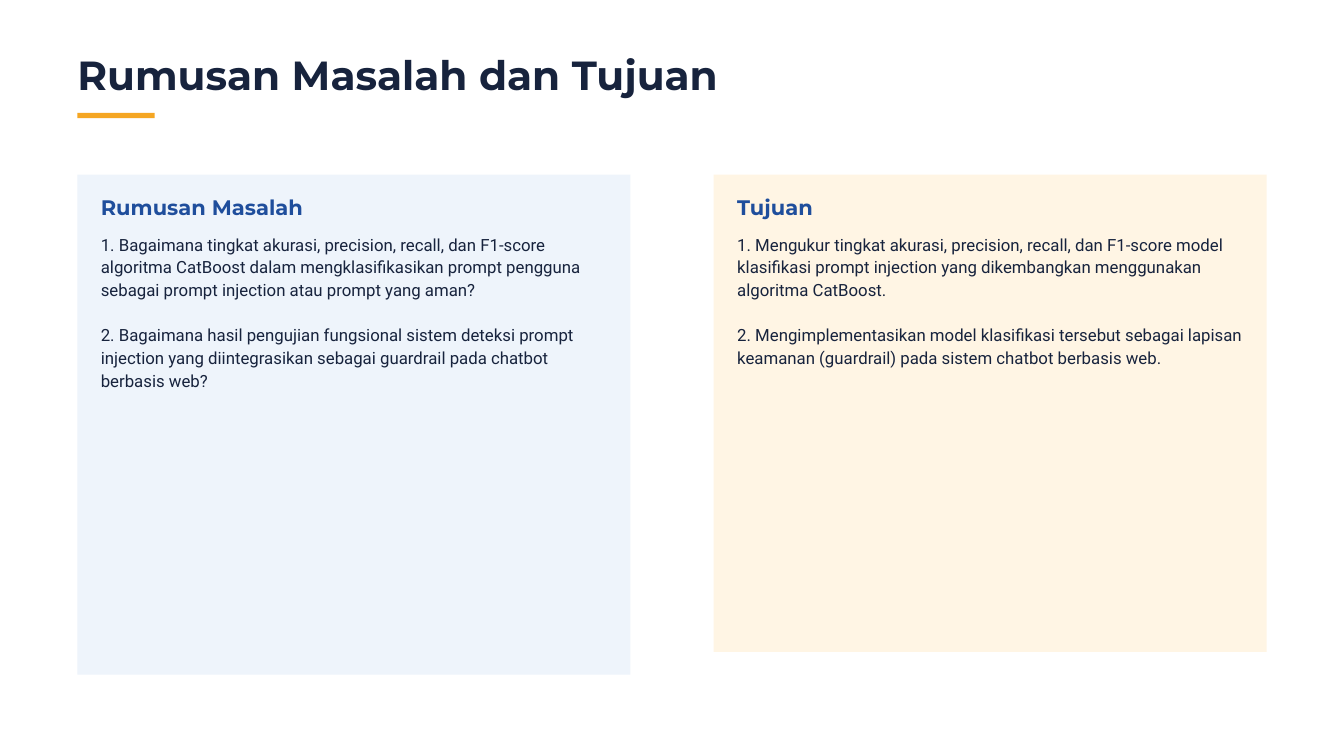
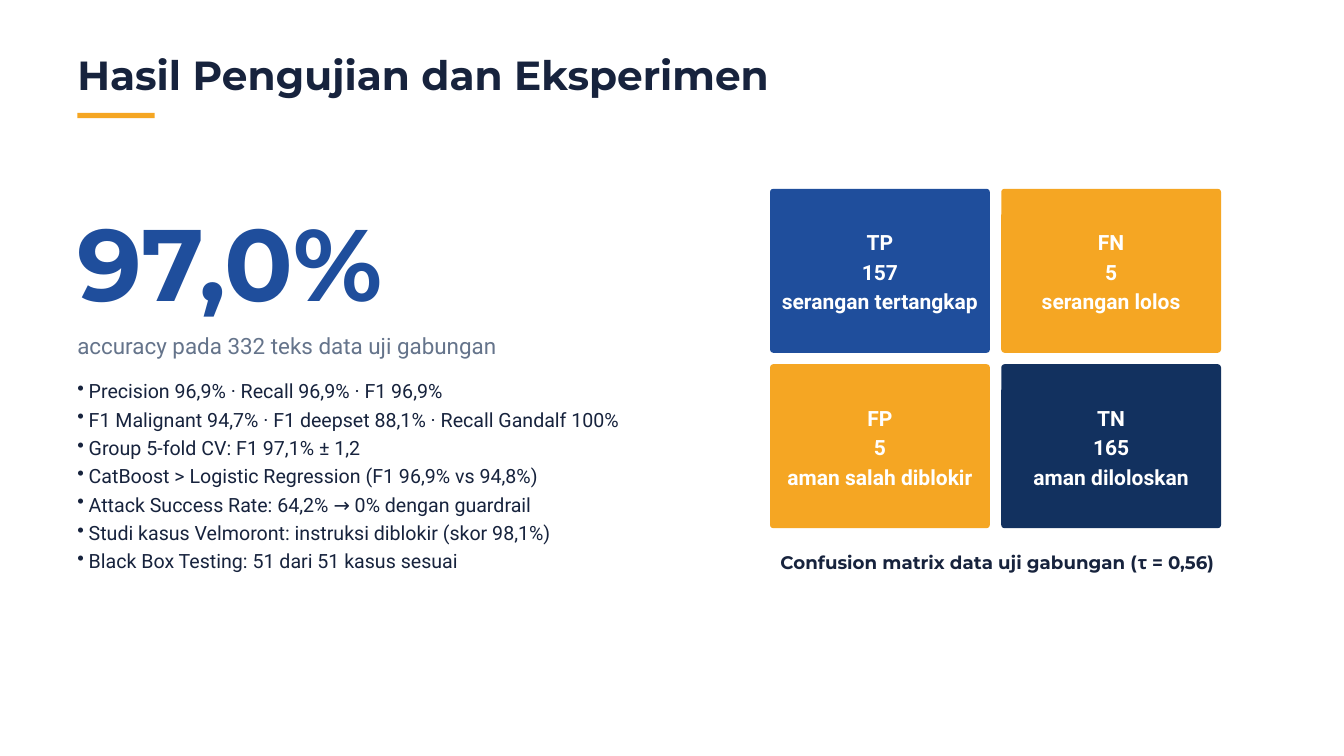
import pptx
import pptx.util
import pptx.dml.color
import pptx.enum.shapes
import pptx.enum.text
import pptx.oxml.ns
import lxml.etree

Inches = pptx.util.Inches
Pt = pptx.util.Pt
SHAPES = pptx.enum.shapes.MSO_SHAPE
ALIGN = pptx.enum.text.PP_ALIGN
HEADING, BODY = "Montserrat", "Roboto"
COLORS = {
    "ink": "17233D",
    "blue": "1F4E9C",
    "navy": "12315F",
    "orange": "F5A623",
    "slate": "65748B",
    "pale_blue": "EEF4FB",
    "pale_orange": "FFF5E4",
    "white": "FFFFFF",
}
LEFT = 1.15


def add_block(slide, kind, left, top, width, height, color):
    block = slide.shapes.add_shape(kind, Inches(left), Inches(top), Inches(width), Inches(height))
    block.shadow.inherit = False
    block.fill.solid()
    block.fill.fore_color.rgb = pptx.dml.color.RGBColor.from_string(COLORS[color])
    block.line.fill.background()
    return block


def write(target, lines, font, size, color, spacing, bold=False, align=ALIGN.LEFT, gap=0,
          bullet=False, insets=(0, 0, 0, 0)):
    if isinstance(target, tuple):
        slide, *place = target
        box = slide.shapes.add_textbox(*[Inches(length) for length in place])
    else:
        box = target
    frame = box.text_frame
    frame.word_wrap = True
    frame.margin_left, frame.margin_top, frame.margin_right, frame.margin_bottom = map(Inches, insets)
    for index, line in enumerate(lines):
        para = frame.add_paragraph() if index else frame.paragraphs[0]
        para.text = line
        para.alignment = align
        para.line_spacing = Pt(spacing)
        if index and gap:
            para.space_before = Pt(gap)
        if bullet:
            properties = para._p.get_or_add_pPr()
            properties.set("marL", str(Inches(0.17)))
            properties.set("indent", str(-Inches(0.17)))
            mark = lxml.etree.SubElement(properties, pptx.oxml.ns.qn("a:buChar"))
            mark.set("char", "•")
        para.font.name = font
        para.font.size = Pt(size)
        para.font.bold = bold
        para.font.color.rgb = pptx.dml.color.RGBColor.from_string(COLORS[color])


deck = pptx.Presentation()
deck.slide_width = Inches(20)
deck.slide_height = Inches(11.25)

pages = []
for title in ["Rumusan Masalah dan Tujuan", "Hasil Pengujian dan Eksperimen"]:
    page = deck.slides.add_slide(deck.slide_layouts[6])
    write((page, LEFT, 0.81, 15.62, 0.66), [title], HEADING, 43.5, "ink", 47, bold=True)
    add_block(page, SHAPES.RECTANGLE, LEFT, 1.68, 1.15, 0.08, "orange")
    pages.append(page)
questions_page, results_page = pages

cards = [
    (LEFT, 7.44, "pale_blue", "Rumusan Masalah", [
        "1. Bagaimana tingkat akurasi, precision, recall, dan F1-score algoritma CatBoost dalam "
        "mengklasifikasikan prompt pengguna sebagai prompt injection atau prompt yang aman?",
        "2. Bagaimana hasil pengujian fungsional sistem deteksi prompt injection yang "
        "diintegrasikan sebagai guardrail pada chatbot berbasis web?",
    ]),
    (10.62, 7.1, "pale_orange", "Tujuan", [
        "1. Mengukur tingkat akurasi, precision, recall, dan F1-score model klasifikasi prompt "
        "injection yang dikembangkan menggunakan algoritma CatBoost.",
        "2. Mengimplementasikan model klasifikasi tersebut sebagai lapisan keamanan (guardrail) "
        "pada sistem chatbot berbasis web.",
    ]),
]
for left, height, color, heading, points in cards:
    add_block(questions_page, SHAPES.RECTANGLE, left, 2.6, 8.23, height, color)
    write((questions_page, left + 0.35, 2.93, 7.52, 0.36), [heading], HEADING, 22.5, "blue", 24.3, bold=True)
    write((questions_page, left + 0.35, 3.45, 7.52, 2.32), points, BODY, 18, "ink", 24.3, gap=24.3)

write((results_page, LEFT, 3.16, 6.77, 1.67), ["97,0%"], HEADING, 108.8, "blue", 117.5, bold=True)
write((results_page, LEFT, 4.89, 6.25, 0.44), ["accuracy pada 332 teks data uji gabungan"],
      BODY, 24, "slate", 32.4)

matrix = [
    ("TP", "157", "serangan tertangkap", "blue"),
    ("FN", "5", "serangan lolos", "orange"),
    ("FP", "5", "aman salah diblokir", "orange"),
    ("TN", "165", "aman diloloskan", "navy"),
]
for index, (*lines, color) in enumerate(matrix):
    row, column = divmod(index, 2)
    cell = add_block(results_page, SHAPES.ROUNDED_RECTANGLE,
                     11.46 + column * 3.44, 2.81 + row * 2.61, 3.27, 2.44, color)
    cell.adjustments[0] = 0.02
    cell.text_frame.vertical_anchor = pptx.enum.text.MSO_ANCHOR.MIDDLE
    write(cell, lines, BODY, 22.5, "white", 31.5, bold=True, align=ALIGN.CENTER,
          insets=(0.06, 0.03, 0.06, 0.06))

write((results_page, 11.46, 8.24, 6.77, 0.31), ["Confusion matrix data uji gabungan (τ = 0,56)"],
      HEADING, 19.5, "ink", 21.1, bold=True, align=ALIGN.CENTER)
findings = [
    "Precision 96,9% · Recall 96,9% · F1 96,9%",
    "F1 Malignant 94,7% · F1 deepset 88,1% · Recall Gandalf 100%",
    "Group 5-fold CV: F1 97,1% ± 1,2",
    "CatBoost > Logistic Regression (F1 96,9% vs 94,8%)",
    "Attack Success Rate: 64,2% → 0% dengan guardrail",
    "Studi kasus Velmoront: instruksi diblokir (skor 98,1%)",
    "Black Box Testing: 51 dari 51 kasus sesuai",
]
write((results_page, LEFT, 5.57, 8.12, 2.9), findings, BODY, 21, "ink", 30.4, bullet=True)

deck.save("out.pptx")
